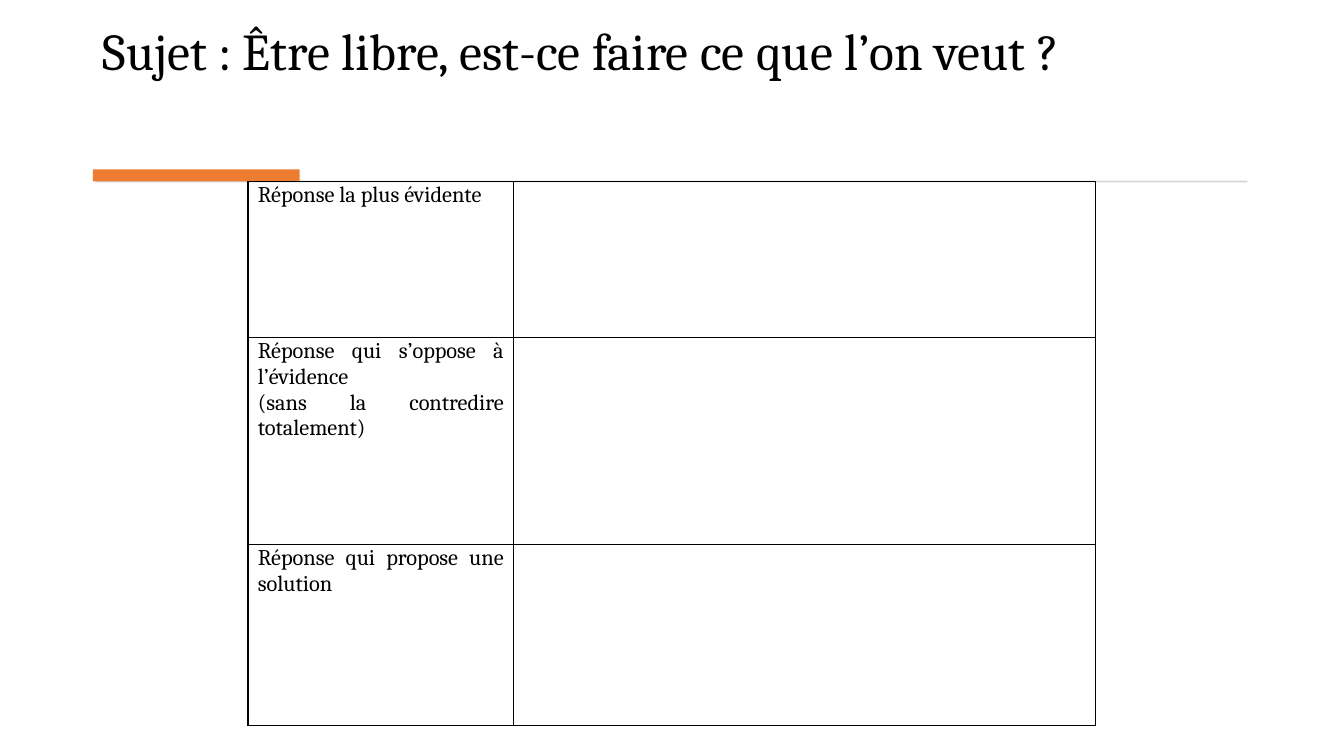
import pptx
import pptx.dml.color
import pptx.enum.shapes
import pptx.enum.text
import pptx.oxml
import pptx.oxml.ns
import pptx.util
from pptx.util import Cm

BLACK = pptx.dml.color.RGBColor(0x00, 0x00, 0x00)
GREY = pptx.dml.color.RGBColor(0xD5, 0xD5, 0xD5)
ORANGE = pptx.dml.color.RGBColor(0xED, 0x7D, 0x31)
FONT = "Cambria"

TITLE = "Sujet : Être libre, est-ce faire ce que l’on veut ?"
ANSWERS = [
    "Réponse la plus évidente",
    "Réponse qui s’oppose à l’évidence\n(sans la contredire totalement)",
    "Réponse qui propose une solution",
]
COL_WIDTHS = [6.7, 14.66]
ROW_HEIGHTS = [3.93, 5.22, 4.57]


def format_runs(p, size):
    for r in p.runs:
        r.font.name = FONT
        r.font.size = pptx.util.Pt(size)
        r.font.color.rgb = BLACK


def add_title(s, text):
    sp = s.shapes.add_textbox(Cm(2.34), Cm(0.64), Cm(29.18), Cm(2.9))
    tf = sp.text_frame
    tf.word_wrap = True
    tf.margin_top = 0
    tf.text = text
    p = tf.paragraphs[0]
    p.line_spacing = 0.9
    format_runs(p, 36.9)


def add_bar(s, left, top, width, height, color):
    sp = s.shapes.add_shape(pptx.enum.shapes.MSO_SHAPE.RECTANGLE,
                            Cm(left), Cm(top), Cm(width), Cm(height))
    sp.shadow.inherit = False
    sp.fill.solid()
    sp.fill.fore_color.rgb = color
    sp.line.fill.background()


def set_borders(cell):
    """Draw a 1 pt black line on all four sides of the cell."""
    tc_pr = cell._tc.get_or_add_tcPr()
    for i, side in enumerate(("lnL", "lnR", "lnT", "lnB")):
        tc_pr.insert(i, pptx.oxml.parse_xml(
            f'<a:{side} {pptx.oxml.ns.nsdecls("a")} w="{pptx.util.Pt(1)}">'
            f'<a:solidFill><a:srgbClr val="{BLACK}"/></a:solidFill></a:{side}>'))


def fill_label(cell, text):
    cell.text_frame.text = text
    for p in cell.text_frame.paragraphs:
        p.alignment = pptx.enum.text.PP_ALIGN.JUSTIFY
        format_runs(p, 16)


def add_answer_table(s, left, top):
    table = s.shapes.add_table(
        len(ROW_HEIGHTS), len(COL_WIDTHS), Cm(left), Cm(top),
        Cm(sum(COL_WIDTHS)), Cm(sum(ROW_HEIGHTS))).table
    table.first_row = False
    table.horz_banding = False
    for col, width in zip(table.columns, COL_WIDTHS):
        col.width = Cm(width)
    for row, height, answer in zip(table.rows, ROW_HEIGHTS, ANSWERS):
        row.height = Cm(height)
        for cell in row.cells:
            cell.fill.background()
            cell.margin_left = cell.margin_right = Cm(0.25)
            cell.margin_top = Cm(0.03)
            cell.margin_bottom = 0
            set_borders(cell)
        fill_label(row.cells[0], answer)


def main():
    prs = pptx.Presentation()
    prs.slide_width = Cm(33.87)
    prs.slide_height = Cm(19.05)
    s = prs.slides.add_slide(prs.slide_layouts[6])
    add_title(s, TITLE)
    add_bar(s, 2.41, 4.55, 29.03, 0.05, GREY)
    add_bar(s, 2.34, 4.27, 5.21, 0.3, ORANGE)
    add_answer_table(s, 6.25, 4.57)
    prs.save("out.pptx")


if __name__ == "__main__":
    main()
